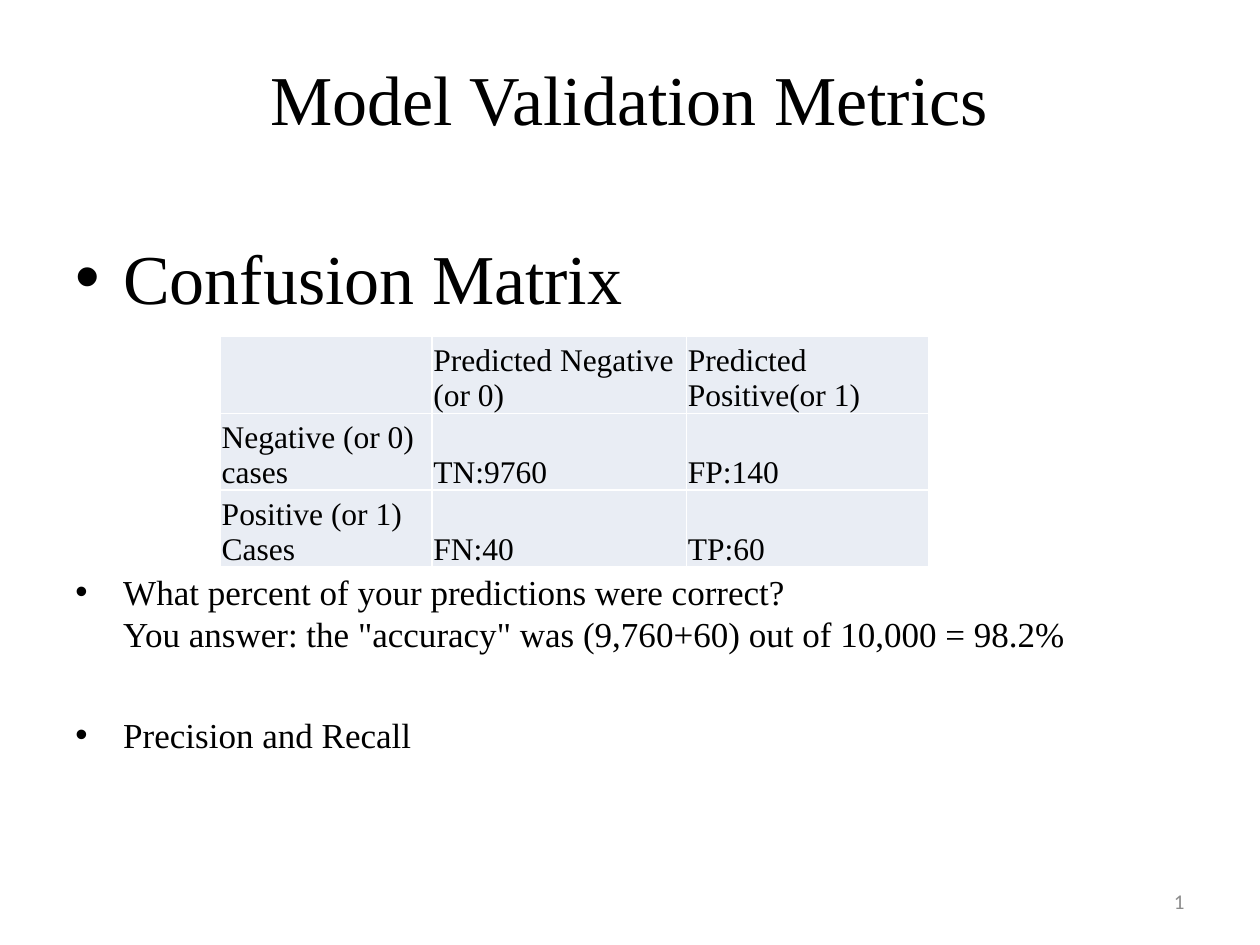
from typing import NamedTuple

from lxml.etree import SubElement
from pptx import Presentation
from pptx.dml.color import RGBColor
from pptx.enum.text import MSO_ANCHOR as Anchor, PP_ALIGN as Align
from pptx.oxml.ns import qn
from pptx.util import Inches, Pt

SERIF = "Times New Roman"


class Point(NamedTuple):
    text: str
    size: int
    gap: int  # space before, in points


POINTS = [
    Point("Confusion Matrix", 40, 0),
    Point("What percent of your predictions were correct?\v"
          'You answer: the "accuracy" was (9,760+60) out of 10,000 = 98.2%',
          20, 144),
    Point("Precision and Recall", 20, 34),
]
MATRIX = [
    ["", "Predicted Negative (or 0)", "Predicted Positive(or 1)"],
    ["Negative (or 0) cases", "TN:9760", "FP:140"],
    ["Positive (or 1) Cases", "FN:40", "TP:60"],
]
WIDTHS = [1.68, 2.02, 1.92]
ROW = 0.56


def paint(item, color: str) -> None:
    """Colour a font or a solid fill."""
    target = item.fore_color if hasattr(item, "fore_color") else item.color
    target.rgb = RGBColor.from_string(color)


def style(para, size: int, name: str = SERIF, color: str = "000000") -> None:
    para.font.size = Pt(size)
    para.font.name = name
    paint(para.font, color)


def bullet(para) -> None:
    props = para._p.get_or_add_pPr()
    props.set("marL", str(Inches(0.38)))
    props.set("indent", str(-Inches(0.38)))
    SubElement(props, qn("a:buFont"), typeface="Arial")
    SubElement(props, qn("a:buChar"), char="•")


def add_box(slide, left: float, top: float, width: float, height: float):
    box = slide.shapes.add_textbox(
        Inches(left), Inches(top), Inches(width), Inches(height))
    box.text_frame.word_wrap = True
    return box.text_frame


def add_points(slide) -> None:
    frame = add_box(slide, 0.5, 1.75, 9, 4.95)
    frame.margin_top = Inches(0.11)
    for i, point in enumerate(POINTS):
        para = frame.add_paragraph() if i else frame.paragraphs[0]
        para.text = point.text
        bullet(para)
        para.space_before = Pt(point.gap)
        style(para, point.size)


def add_matrix(slide) -> None:
    table = slide.shapes.add_table(
        len(MATRIX), len(WIDTHS), Inches(1.75), Inches(2.67),
        Inches(sum(WIDTHS)), Inches(ROW * len(MATRIX))).table
    table.first_row = table.horz_banding = False
    for col, width in zip(table.columns, WIDTHS):
        col.width = Inches(width)
    for r, texts in enumerate(MATRIX):
        for c, text in enumerate(texts):
            cell = table.cell(r, c)
            cell.text = text
            cell.vertical_anchor = Anchor.BOTTOM
            cell.margin_left = cell.margin_right = Inches(0.01)
            cell.margin_top, cell.margin_bottom = Inches(0.01), 0
            cell.fill.solid()
            paint(cell.fill, "E9EDF4")
            style(cell.text_frame.paragraphs[0], 18)


deck = Presentation()
deck.slide_width, deck.slide_height = Inches(10), Inches(7.5)
slide = deck.slides.add_slide(deck.slide_layouts[5])

# Title
title = slide.shapes.title
title.left, title.top = Inches(1.62), Inches(0.3)
title.width, title.height = Inches(6.75), Inches(0.95)
title.text_frame.text = "Model Validation Metrics"
title.text_frame.vertical_anchor = Anchor.MIDDLE
head = title.text_frame.paragraphs[0]
head.alignment = Align.CENTER
style(head, 40)

# Body and confusion matrix
add_points(slide)
add_matrix(slide)

# Slide number
foot = add_box(slide, 7.17, 6.95, 2.33, 0.4)
foot.vertical_anchor = Anchor.MIDDLE
foot.text = "1"
foot.paragraphs[0].alignment = Align.RIGHT
style(foot.paragraphs[0], 12, "Calibri", "8C8C8C")

deck.save("out.pptx")
